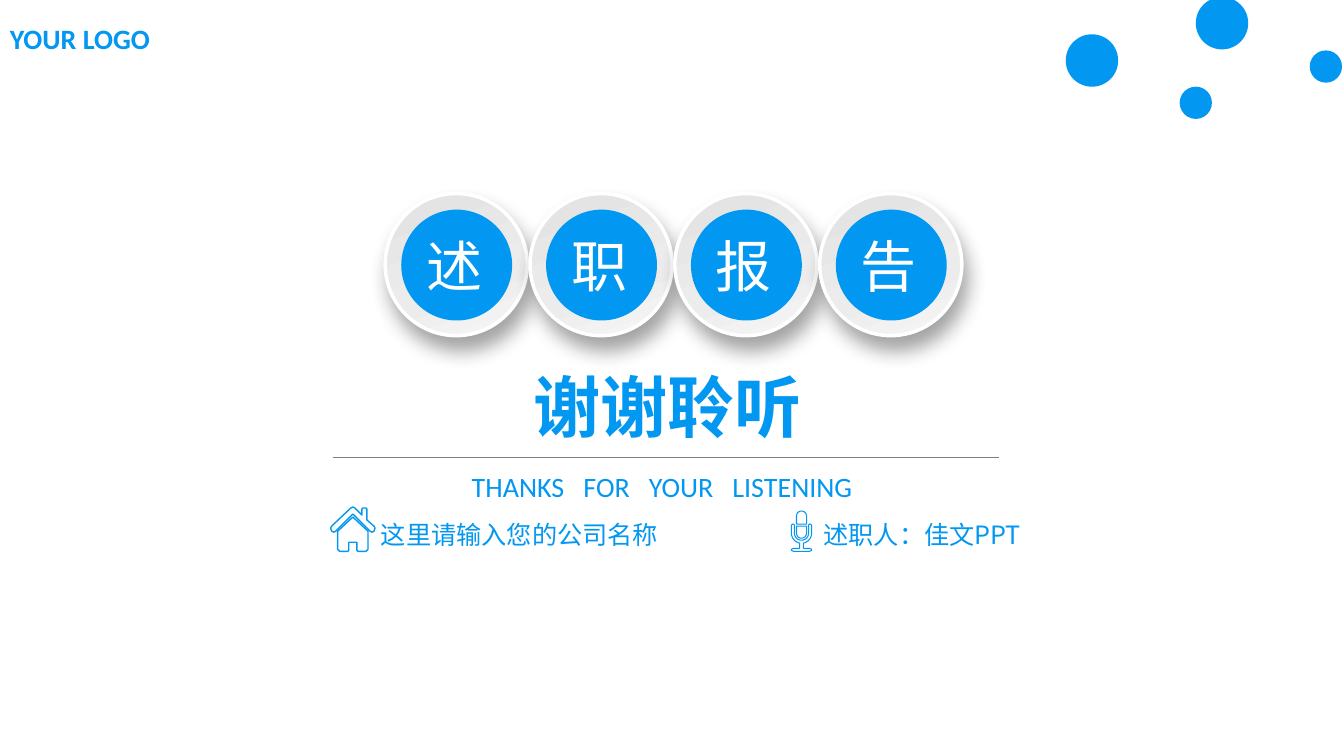
import math
from dataclasses import dataclass

import lxml.etree
import pptx
import pptx.dml.color
import pptx.enum.shapes
import pptx.enum.text
import pptx.oxml.ns
import pptx.util

Inches = pptx.util.Inches
ShapeType = pptx.enum.shapes.MSO_SHAPE
qn = pptx.oxml.ns.qn


@dataclass(frozen=True)
class Theme:
    """Colours, fonts and type sizes of the slide."""
    blue: str = "0297F0"
    white: str = "FFFFFF"
    rule: str = "7F7F7F"
    shadow: str = "1A1A1A"
    ring_stops: tuple = ((0, "E2E2E2"), (63, "ECECEC"), (100, "F7F7F7"))
    latin_font: str = "Calibri"
    chinese_font: str = "Noto Sans CJK SC"
    title: int = 48
    badge: int = 40
    subtitle: int = 20
    body: int = 18


def rgb(value):
    """Turn a hex string into a colour."""
    return pptx.dml.color.RGBColor.from_string(value)


def add_colour(parent, value):
    """Append an RGB colour element."""
    return lxml.etree.SubElement(parent, qn("a:srgbClr"), val=value)


def arc(centre_y, radius, start, end, steps=12):
    """Points of an arc around x = 0, with angles in degrees clockwise."""
    angles = (math.radians(start + (end - start) * i / steps) for i in range(steps + 1))
    return [(radius * math.cos(a), centre_y + radius * math.sin(a)) for a in angles]


def mirrored(half):
    """Close a right half with its reflection in x = 0."""
    return half + [(-x, y) for x, y in reversed(half)]


class SlideBuilder:
    """Draws styled elements on the current slide."""

    def __init__(self, slide, theme):
        """Keep the slide and its theme."""
        self.slide, self.theme = slide, theme

    def text(self, box, words, size, colour=None, bold=False, shapes=None, gap=0):
        """Add one line of text; gap widens the spaces, in points."""
        shape = (shapes or self.slide.shapes).add_textbox(*map(Inches, box))
        frame_format = {"word_wrap": True,
                        "vertical_anchor": pptx.enum.text.MSO_ANCHOR.MIDDLE}
        for name, value in frame_format.items():
            setattr(shape.text_frame, name, value)
        paragraph = shape.text_frame.paragraphs[0]
        pieces = words.replace(" ", "| |").split("|") if gap else [words]
        font_name = self.theme.latin_font if words.isascii() else self.theme.chinese_font
        font_format = {"name": font_name, "size": pptx.util.Pt(size), "bold": bold}
        for piece in pieces:
            run = paragraph.add_run()
            run.text = piece
            for name, value in font_format.items():
                setattr(run.font, name, value)
            run.font.color.rgb = rgb(colour or self.theme.blue)
            properties = run.font._element
            lxml.etree.SubElement(properties, qn("a:ea"), typeface=self.theme.chinese_font)
            if piece == " ":
                properties.set("spc", str(gap * 100))

    def paint(self, shape, fill, line=None, width=0):
        """Give a shape a plain fill and an optional outline, without shadow."""
        shape.shadow.inherit = False
        shape.fill.solid()
        shape.fill.fore_color.rgb = rgb(fill)
        if line:
            shape.line.color.rgb = rgb(line)
            shape.line.width = pptx.util.Pt(width)
        else:
            shape.line.fill.background()

    def round_shape(self, shapes, kind, left, top, size, **style):
        """Add a painted shape of equal width and height."""
        shape = shapes.add_shape(kind, *map(Inches, (left, top, size, size)))
        self.paint(shape, **style)
        return shape

    def raise_ring(self, ring):
        """Give a ring its gradient and soft shadow."""
        ring.fill.gradient()
        ring.fill.gradient_angle = 290
        properties = ring._element.spPr
        stops = properties.find(qn("a:gradFill")).find(qn("a:gsLst"))
        for stop in list(stops):
            stops.remove(stop)
        for position, colour in self.theme.ring_stops:
            add_colour(lxml.etree.SubElement(stops, qn("a:gs"), pos=str(position * 1000)), colour)
        shadow = lxml.etree.SubElement(
            properties.find(qn("a:effectLst")), qn("a:outerShdw"),
            blurRad=str(pptx.util.Pt(14)), dist=str(pptx.util.Pt(10)),
            dir=str(70 * 60000), algn="ctr", rotWithShape="0")
        lxml.etree.SubElement(add_colour(shadow, self.theme.shadow), qn("a:alpha"), val="40000")

    def badge(self, left, top, character):
        """Add a raised ring with a blue disc and one character."""
        theme, shapes = self.theme, self.slide.shapes.add_group_shape().shapes
        ring = self.round_shape(shapes, ShapeType.OVAL, left, top, 1.41,
                                fill=theme.white, line=theme.white, width=2.5)
        self.raise_ring(ring)
        self.round_shape(shapes, ShapeType.OVAL, left + 0.16, top + 0.16, 1.1, fill=theme.blue)
        self.text((left + 0.31, top + 0.32, 0.73, 0.77), character, theme.badge,
                  theme.white, shapes=shapes)

    def dot(self, left, top, size):
        """Add a blue dot made of a thin rim and a disc."""
        shapes = self.slide.shapes.add_group_shape().shapes
        rim = self.round_shape(shapes, ShapeType.DONUT, left, top, size, fill=self.theme.blue)
        rim.adjustments[0] = 0.05
        inset = size * 0.03
        self.round_shape(shapes, ShapeType.OVAL, left + inset, top + inset,
                         size - 2 * inset, fill=self.theme.blue)

    def rule(self, left, right, y):
        """Add a thin horizontal line."""
        line = self.slide.shapes.add_connector(
            pptx.enum.shapes.MSO_CONNECTOR.STRAIGHT, *map(Inches, (left, y, right, y)))
        line.line.color.rgb = rgb(self.theme.rule)
        line.line.width = pptx.util.Pt(0.5)
        lxml.etree.SubElement(line._element.spPr, qn("a:effectLst"))

    def icon(self, centre_x, contours, width):
        """Add an outlined icon from contours placed around its centre."""
        builder = None
        for contour in contours:
            # The freeform pen rounds to whole units, so it moves in EMU.
            points = [(Inches(centre_x + x), Inches(y)) for x, y in contour]
            if builder is None:
                builder = self.slide.shapes.build_freeform(*points[0])
            else:
                builder.move_to(*points[0])
            builder.add_line_segments(points[1:], close=True)
        self.paint(builder.convert_to_shape(), self.theme.white, self.theme.blue, width)


HOUSE = [
    mirrored([(0, 5.13), (0.15, 5.27), (0.15, 5.45), (0.13, 5.47),
              (0.05, 5.47), (0.04, 5.46), (0.04, 5.38)]),
    [(0, 5.03), (0.02, 5.04), (0.09, 5.11), (0.09, 5.05), (0.1, 5.04), (0.13, 5.04),
     (0.14, 5.05), (0.14, 5.16), (0.21, 5.22), (0.22, 5.24), (0.21, 5.27), (0.19, 5.28),
     (0.17, 5.27), (0, 5.1), (-0.17, 5.27), (-0.19, 5.28), (-0.21, 5.27),
     (-0.22, 5.24), (-0.21, 5.22), (-0.02, 5.04)],
]
MICROPHONE = [
    [(-0.05, 5.22), (0.05, 5.22)] + arc(5.29, 0.05, 0, 180),
    mirrored(arc(5.29, 0.07, 90, 0)
             + [(0.07, 5.21), (0.08, 5.2), (0.09, 5.2), (0.1, 5.21)]
             + arc(5.29, 0.1, 0, 80)
             + [(0.02, 5.44), (0.08, 5.44), (0.1, 5.45), (0.1, 5.46), (0.08, 5.47)]),
    [(0.05, 5.2), (-0.05, 5.2)] + arc(5.12, 0.05, 180, 360),
]
DOTS = [(10.57, 0.34, 0.52), (11.7, 0.86, 0.32), (11.86, -0.03, 0.52), (12.99, 0.5, 0.32)]


def main():
    """Build the closing slide and save it."""
    presentation = pptx.Presentation()
    presentation.slide_width, presentation.slide_height = Inches(13.33), Inches(7.5)
    theme = Theme()
    builder = SlideBuilder(presentation.slides.add_slide(presentation.slide_layouts[6]), theme)

    builder.text((5.19, 3.57, 2.95, 0.91), "谢谢聆听", theme.title, bold=True)
    for index, character in enumerate("述职报告"):
        builder.badge(3.82 + 4.31 * index / 3, 1.92, character)
    builder.rule(3.3, 9.91, 4.54)
    builder.text((4.58, 4.6, 4.17, 0.44), "THANKS FOR YOUR LISTENING", theme.subtitle, gap=9)
    builder.text((0, 0.16, 1.93, 0.44), "YOUR LOGO", theme.subtitle, bold=True)
    builder.text((3.68, 5.1, 3.23, 0.4), "这里请输入您的公司名称", theme.body)
    builder.text((8.07, 5.1, 2.24, 0.4), "述职人：佳文PPT", theme.body)
    builder.icon(3.5, HOUSE, 1)
    builder.icon(7.95, MICROPHONE, 0.75)
    for dot in DOTS:
        builder.dot(*dot)
    presentation.save("out.pptx")


main()
